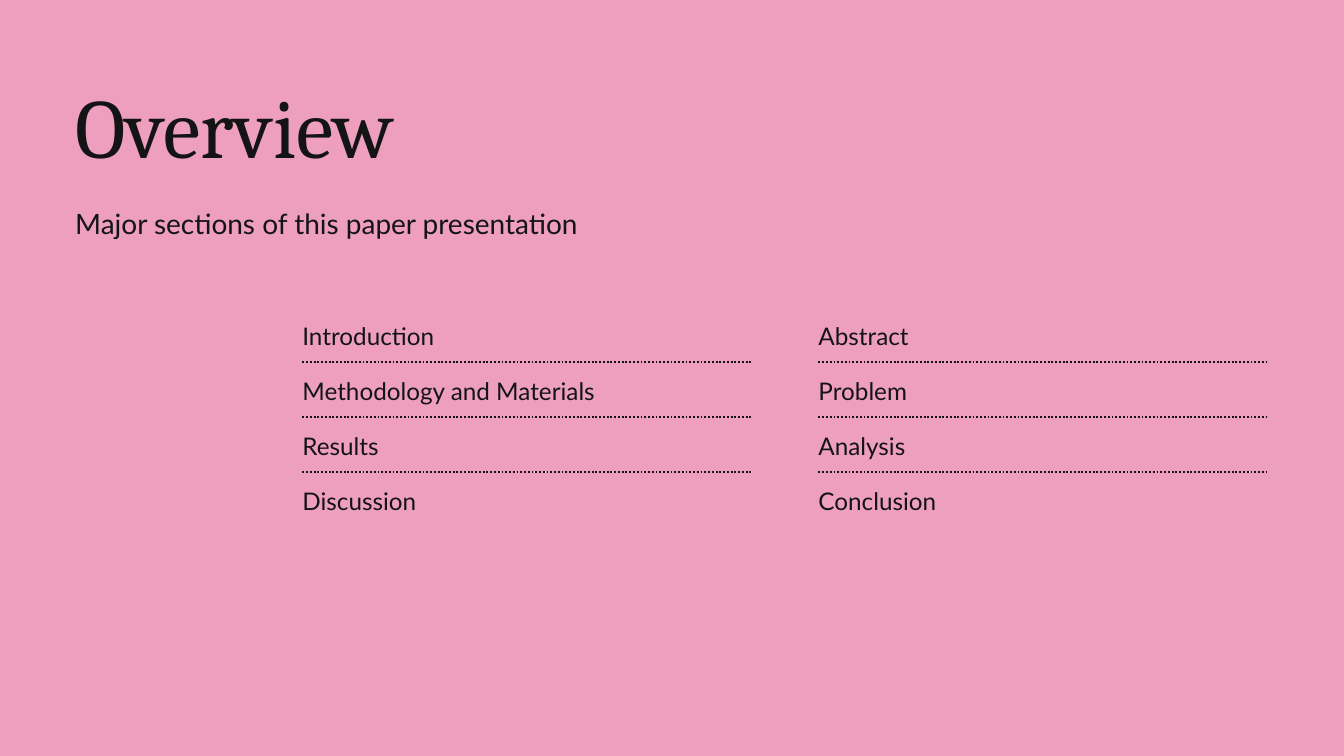
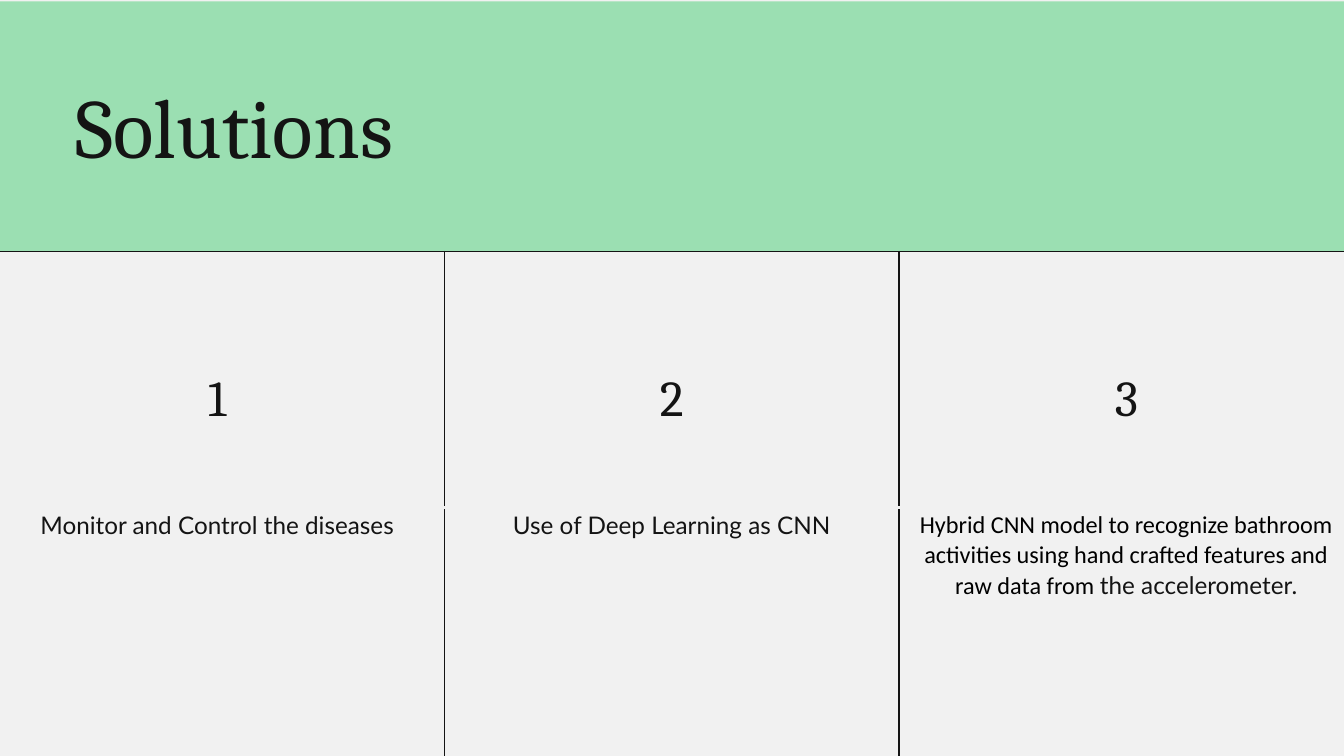
from dataclasses import dataclass
from lxml import etree
from pptx import Presentation
from pptx.dml.color import RGBColor
from pptx.enum.dml import MSO_LINE
from pptx.enum.shapes import MSO_CONNECTOR, MSO_SHAPE
from pptx.enum.text import MSO_AUTO_SIZE, PP_ALIGN
from pptx.oxml.ns import qn
from pptx.util import Inches, Pt

DOTS = MSO_LINE.ROUND_DOT
LINE = MSO_CONNECTOR.STRAIGHT
RECT = MSO_SHAPE.RECTANGLE
GROW = MSO_AUTO_SIZE.SHAPE_TO_FIT_TEXT
MID = PP_ALIGN.CENTER


@dataclass(frozen=True)
class Theme:
    ink: RGBColor = RGBColor.from_string("141414")
    black: RGBColor = RGBColor.from_string("000000")
    pink: RGBColor = RGBColor.from_string("ED9FBD")
    green: RGBColor = RGBColor.from_string("9BDFB2")
    pale: RGBColor = RGBColor.from_string("F1F1F1")
    serif: str = "Cambria"
    sans: str = "Lato"
    plain: str = "Calibri"
    title: int = 90
    digit: int = 54
    lead: int = 30
    body: int = 26


look = Theme()
deck = Presentation()
deck.slide_width = Inches(20)
deck.slide_height = Inches(11.25)
COL = deck.slide_width / 100
ROW = deck.slide_height / 100
LEFT = 5.6


def write(para, text, size, font, color=look.ink):
    run = para.add_run()
    run.text = text
    run.font.size = Pt(size)
    run.font.name = font
    run.font.color.rgb = color


def label(shapes, x, y, wide, high, text, size, font, lead):
    box = shapes.add_textbox(int(x * COL), int(y * ROW), int(wide * COL), int(high * ROW))
    frame = box.text_frame
    frame.word_wrap = True
    frame.auto_size = GROW
    frame.margin_left = frame.margin_right = frame.margin_top = frame.margin_bottom = 0
    para = frame.paragraphs[0]
    para.line_spacing = Pt(lead)
    write(para, text, size, font)


blank = deck.slide_layouts[6]
pages = []
for tint in (look.pink, look.pale):
    page = deck.slides.add_slide(blank)
    page.background.fill.solid()
    page.background.fill.fore_color.rgb = tint
    pages.append(page)
outline, answers = pages

label(outline.shapes, LEFT, 9.85, 83.35, 13.5, "Overview", look.title, look.serif, 108)
label(outline.shapes, LEFT, 26.93, 67.3, 4.8, "Major sections of this paper presentation",
      look.lead, look.sans, 39)

lists = (
    (22.5, ("Introduction", "Methodology and Materials", "Results", "Discussion")),
    (60.9, ("Abstract", "Problem", "Analysis", "Conclusion")),
)
TOP, STEP, GAP, SPAN = 41.78, 7.26, 6.13, 33.5
for x, names in lists:
    group = outline.shapes.add_group_shape()
    for i, name in enumerate(names):
        y = TOP + i * STEP
        label(group.shapes, x, y, 30, 4.36, name, look.body, look.sans, 37.2)
        if i < len(names) - 1:
            level = int((y + GAP) * ROW)
            rule = group.shapes.add_connector(LINE, int(x * COL), level, int((x + SPAN) * COL), level)
            rule.line.color.rgb = look.ink
            rule.line.width = Pt(2)
            rule.line.dash_style = DOTS
            etree.SubElement(rule.element.spPr, qn("a:effectLst"))

band = answers.shapes.add_shape(RECT, 0, int(0.18 * ROW), deck.slide_width, int(33.07 * ROW))
band.shadow.inherit = False
band.fill.solid()
band.fill.fore_color.rgb = look.green
band.line.fill.background()

points = (
    (("Monitor and Control the diseases", look.sans, look.ink),),
    (("Use of Deep Learning as CNN", look.sans, look.ink),),
    (("Hybrid CNN model to recognize bathroom activities using hand crafted features and raw data from ",
      look.plain, look.black),
     ("the accelerometer.", look.sans, look.ink)),
)
heights = (33.87, 35.11)
last = len(points) - 1
grid = answers.shapes.add_table(len(heights), len(points), int(-0.74 * COL), int(33.25 * ROW),
                                int(101.46 * COL), int(sum(heights) * ROW)).table
grid.first_row = grid.horz_banding = False
for r, high in enumerate(heights):
    grid.rows[r].height = int(high * ROW)
    for c, point in enumerate(points):
        cell = grid.cell(r, c)
        para = cell.text_frame.paragraphs[0]
        para.alignment = MID
        if r == 0:
            cell.margin_top = int(15.9 * ROW)
            write(para, str(c + 1), look.digit, look.serif)
        else:
            for text, font, color in point:
                write(para, text, look.body, font, color)
        dark = {"L": c > 0, "R": c < last, "T": r == 0, "B": False}
        props = cell._tc.get_or_add_tcPr()
        for side, inked in dark.items():
            edge = etree.SubElement(props, qn("a:ln" + side), w=str(Pt(1.5 if inked else 3.75)))
            paint = etree.SubElement(edge, qn("a:solidFill"))
            etree.SubElement(paint, qn("a:srgbClr"), val=str(look.ink if inked else look.pale))
        cell.fill.background()

label(answers.shapes, LEFT, 9.8, 68.8, 13.5, "Solutions", look.title, look.serif, 108)

deck.save("out.pptx")
